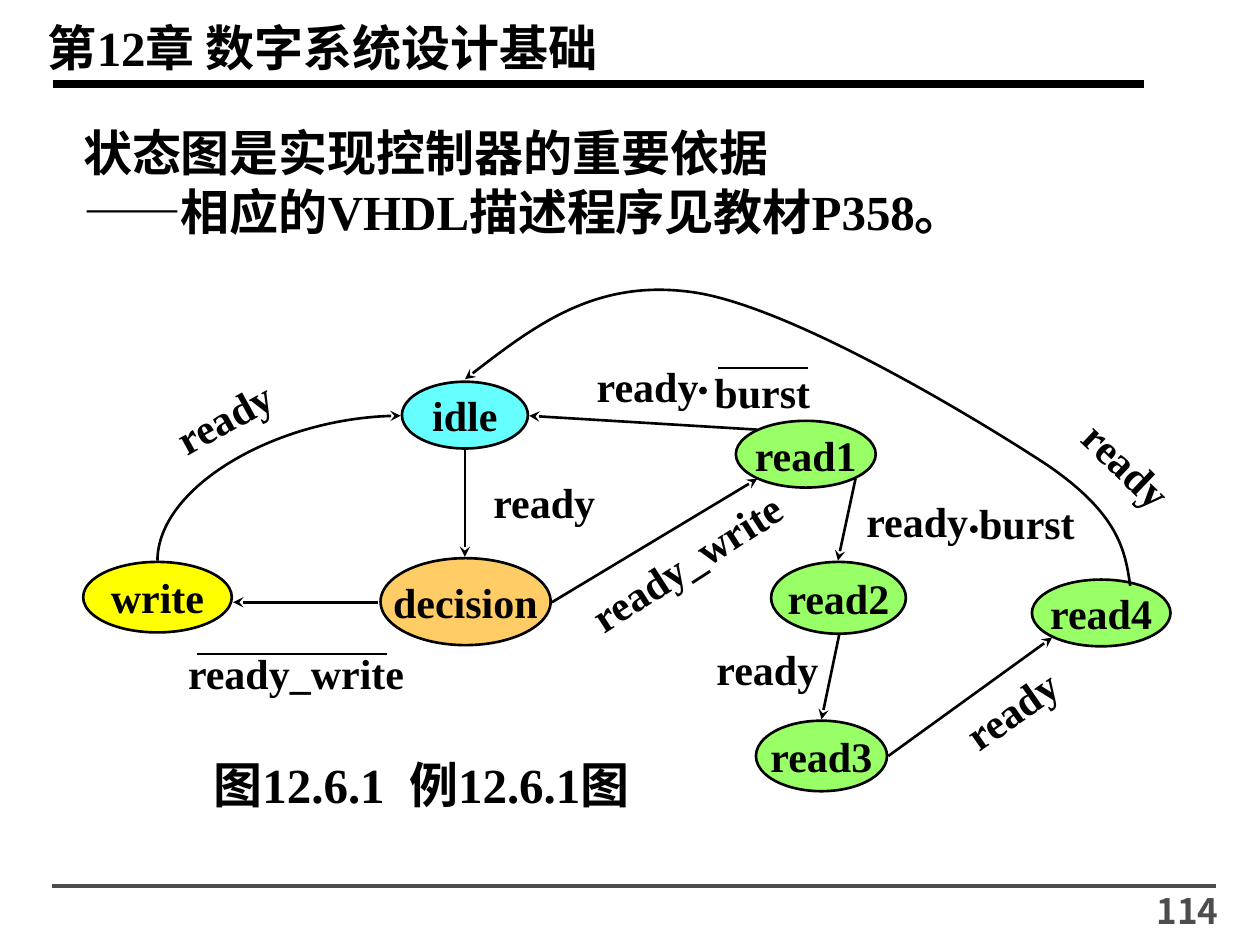
from lxml import etree
from pptx import Presentation
from pptx.dml.color import RGBColor
from pptx.enum.shapes import MSO_CONNECTOR, MSO_SHAPE
from pptx.enum.text import MSO_ANCHOR, MSO_AUTO_SIZE, PP_ALIGN
from pptx.oxml.ns import qn
from pptx.util import Inches, Pt

LEFT, CENTER, RIGHT = PP_ALIGN.LEFT, PP_ALIGN.CENTER, PP_ALIGN.RIGHT
TOP, MIDDLE = MSO_ANCHOR.TOP, MSO_ANCHOR.MIDDLE
STRAIGHT, CURVE = MSO_CONNECTOR.STRAIGHT, MSO_CONNECTOR.CURVE
ELLIPSE = MSO_SHAPE.OVAL
NO_FIT = MSO_AUTO_SIZE.NONE

SERIF, SANS = "Times New Roman", "Noto Sans CJK SC"
BLACK, GRAY, GREEN = "000000", "4D4D4D", "99FF66"
INSETS = {"margin_left": 0.1, "margin_right": 0.1, "margin_top": 0.05, "margin_bottom": 0.05}

TITLE = [[("第12章 数字系统设计基础", SERIF)]]
BODY = [
    [("状态图是实现控制器的重要依据", SERIF)],
    [("——相应的", SANS), ("VHDL描述", SERIF), ("程序见教材", SANS), ("P358", SERIF), ("。", SANS)],
]
CAPTION = [[("图12.6.1  例12.6.1图", SERIF)]]
PAGE_NUMBER = [[("114", SANS)]]

STATES = [
    ("write", 0.66, 4.46, 1.18, 0.56, "FFFF00"),
    ("idle", 3.19, 3.03, 1, 0.53, "66FFFF"),
    ("decision", 3.02, 4.43, 1.35, 0.69, "FFCC66"),
    ("read1", 5.84, 3.34, 1.11, 0.53, GREEN),
    ("read2", 6.12, 4.46, 1.07, 0.57, GREEN),
    ("read3", 6, 5.72, 1.04, 0.56, GREEN),
    ("read4", 8.19, 4.6, 1.1, 0.53, GREEN),
]
LABEL_WIDTHS = {"ready": 1.12, "burst": 1.12, "ready_write": 1.98}
LABELS = [
    ("burst", 5.49, 2.86, 0),
    ("ready", 1.22, 3.06, 331),
    ("ready_write", 1.36, 5.09, 0),
    ("ready", 3.76, 3.73, 0),
    ("ready_write", 4.46, 4.21, 327.2),
    ("ready", 4.58, 2.81, 0),
    ("ready", 8.39, 3.44, 43.7),
    ("burst", 7.59, 3.9, 0),
    ("ready", 5.53, 5.06, 0),
    ("ready", 7.47, 5.38, 325.1),
    ("ready", 6.72, 3.88, 0),
]
TRANSITIONS = [
    (3.69, 3.57, 3.69, 4.42),
    (4.38, 4.78, 6.01, 3.8),
    (6.01, 3.41, 4.2, 3.3),
    (6.79, 3.8, 6.65, 4.45),
    (6.66, 5.04, 6.52, 5.71),
    (7.05, 6, 8.35, 5.06),
    (3, 4.78, 1.85, 4.78),
]
OVERBARS = [(1.56, 5.19, 3.07, 5.19), (5.7, 2.92, 6.41, 2.92)]
RULES = [((0.42, 0.67, 9.08, 0.67), BLACK, 4.5), ((0.41, 7.03, 9.65, 7.03), GRAY, 2)]
AND_DOTS = [(5.56, 3.08), (7.71, 4.18)]
WRITE_TO_IDLE = (2.79, 4.84, 1.64, 2.91)
READ4_TO_IDLE = [
    (3.69, 3.01), (4.21, 2.61), (4.73, 2.21), (5.5, 2.32), (6.27, 2.43),
    (7.73, 3.31), (8.31, 3.69), (8.88, 4.08), (8.93, 4.37), (8.97, 4.65),
]


def color(value):
    return RGBColor.from_string(value)


def set_line(shape, ink=BLACK, width=1.5, arrow=None):
    shape.line.color.rgb = color(ink)
    shape.line.width = Pt(width)
    if arrow:
        outline = shape.line._get_or_add_ln()
        etree.SubElement(outline, qn("a:" + arrow), type="stealth")


def write(shape, paragraphs, size, align=CENTER, ink=BLACK, anchor=TOP, wrap=True):
    frame = shape.text_frame
    settings = {name: Inches(inset) for name, inset in INSETS.items()}
    settings.update(word_wrap=wrap, auto_size=NO_FIT, vertical_anchor=anchor)
    for name, value in settings.items():
        setattr(frame, name, value)
    for index, spans in enumerate(paragraphs):
        para = frame.add_paragraph() if index else frame.paragraphs[0]
        para.alignment = align
        para.space_before = Pt(0)
        for text, typeface in spans:
            span = para.add_run()
            span.text = text
            font = {"name": typeface, "size": Pt(size), "bold": True}
            for name, value in font.items():
                setattr(span.font, name, value)
            span.font.color.rgb = color(ink)
            latin = span.font._element.find(qn("a:latin"))
            latin.addnext(etree.Element(qn("a:ea"), typeface=SANS))


def place(shape, left, top, width, height):
    for name, value in zip(("left", "top", "width", "height"), (left, top, width, height)):
        setattr(shape, name, Inches(value))


def add_text(page, box, paragraphs, size, **options):
    shape = page.shapes.add_textbox(*map(Inches, box))
    write(shape, paragraphs, size, **options)
    return shape


def add_line(page, ends, ink=BLACK, width=1.5, arrow=None, kind=STRAIGHT):
    line = page.shapes.add_connector(kind, *map(Inches, ends))
    set_line(line, ink, width, arrow)
    etree.SubElement(line._element.spPr, qn("a:effectLst"))
    return line


def add_ellipse(page, box, fill):
    shape = page.shapes.add_shape(ELLIPSE, *map(Inches, box))
    shape.shadow.inherit = False
    shape.fill.solid()
    shape.fill.fore_color.rgb = color(fill)
    set_line(shape)
    return shape


def add_bezier(page, points):
    corners = [(Inches(x), Inches(y)) for x, y in points]
    builder = page.shapes.build_freeform(*corners[0])
    builder.add_line_segments(corners[1:], close=False)
    shape = builder.convert_to_shape()
    segments = list(shape._element.iter(qn("a:lnTo")))
    outline = segments[0].getparent()
    for start in range(0, len(segments), 3):
        curve = etree.SubElement(outline, qn("a:cubicBezTo"))
        for segment in segments[start:start + 3]:
            curve.append(segment[0])
            outline.remove(segment)
    shape.shadow.inherit = False
    shape.fill.background()
    set_line(shape, arrow="headEnd")


def main():
    deck = Presentation()
    deck.slide_width, deck.slide_height = Inches(10), Inches(7.5)
    page = deck.slides.add_slide(deck.slide_layouts[1])
    title, body = page.shapes.title, page.placeholders[1]

    place(title, 0.28, 0.09, 6.24, 0.57)
    write(title, TITLE, 28, align=LEFT)
    place(body, 0.56, 0.92, 8.19, 1.04)
    write(body, BODY, 28, align=LEFT)
    for para in body.text_frame.paragraphs:
        properties = para._p.get_or_add_pPr()
        properties.set("marL", "0")
        properties.set("indent", "0")
        etree.SubElement(properties, qn("a:buNone"))

    for ends, ink, width in RULES:
        add_line(page, ends, ink, width)
    add_text(page, (1.16, 5.94, 4.37, 0.57), CAPTION, 28)
    add_text(page, (8.38, 7.01, 1.39, 0.39), PAGE_NUMBER, 20, align=RIGHT, ink=GRAY)

    for name, *box, fill in STATES:
        state = add_ellipse(page, box, fill)
        write(state, [[(name, SERIF)]], 24, anchor=MIDDLE, wrap=False)
    for text, left, top, angle in LABELS:
        label = add_text(page, (left, top, LABEL_WIDTHS[text], 0.5), [[(text, SERIF)]], 24)
        label.rotation = angle
    for left, top in AND_DOTS:
        add_ellipse(page, (left, top, 0.04, 0.04), BLACK)
    for ends in OVERBARS:
        add_line(page, ends)
    for ends in TRANSITIONS:
        add_line(page, ends, arrow="tailEnd")

    arc = add_line(page, WRITE_TO_IDLE, arrow="tailEnd", kind=CURVE)
    geometry = arc._element.spPr
    geometry.find(qn("a:xfrm")).set("rot", str(90 * 60000))
    geometry.find(qn("a:prstGeom")).set("prst", "curvedConnector2")
    add_bezier(page, READ4_TO_IDLE)

    deck.save("out.pptx")


if __name__ == "__main__":
    main()
